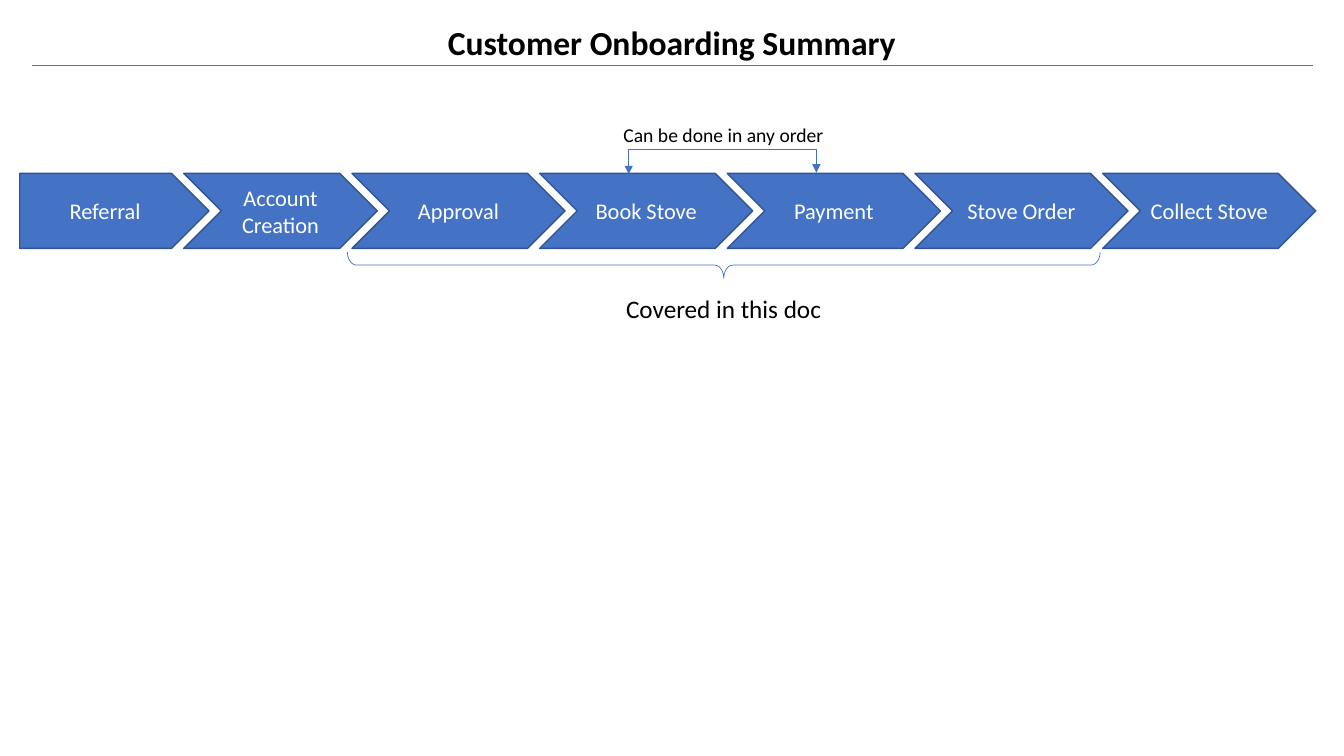
import pptx
import pptx.dml.color
import pptx.enum.dml
import pptx.enum.shapes
import pptx.enum.text
import pptx.oxml.ns
import pptx.util
from lxml import etree

Cm = pptx.util.Cm
Pt = pptx.util.Pt
Preset = pptx.enum.shapes.MSO_SHAPE
Connector = pptx.enum.shapes.MSO_CONNECTOR
qn = pptx.oxml.ns.qn


def rgb(value):
    return pptx.dml.color.RGBColor.from_string(value)


class ProcessSlide:
    """Holds the style and the current slide, and draws its elements."""

    font = "Calibri"
    blue = "4472C4"
    outline = "325491"
    black = "000000"
    white = "FFFFFF"

    def __init__(self, slide):
        self.shapes = slide.shapes

    def set_text(self, frame, text, size, color, bold=False):
        frame.word_wrap = True
        paragraph = frame.paragraphs[0]
        paragraph.text = text
        paragraph.alignment = pptx.enum.text.PP_ALIGN.CENTER
        font = paragraph.font
        font.name, font.size, font.bold = self.font, Pt(size), bold
        font.color.rgb = rgb(color)

    def label(self, left, top, width, height, text, size, bold=False):
        box = self.shapes.add_textbox(Cm(left), Cm(top), Cm(width), Cm(height))
        box.text_frame.auto_size = pptx.enum.text.MSO_AUTO_SIZE.SHAPE_TO_FIT_TEXT
        self.set_text(box.text_frame, text, size, self.black, bold)

    def stroke(self, line, color, width):
        line.color.rgb = rgb(color)
        line.width = Pt(width)

    def step(self, preset, left, top, width, height, text):
        arrow = self.shapes.add_shape(preset, Cm(left), Cm(top), Cm(width), Cm(height))
        arrow.shadow.inherit = False
        arrow.fill.solid()
        arrow.fill.fore_color.rgb = rgb(self.blue)
        self.stroke(arrow.line, self.outline, 1)
        arrow.text_frame.vertical_anchor = pptx.enum.text.MSO_ANCHOR.MIDDLE
        self.set_text(arrow.text_frame, text, 16, self.white)

    def brace_below(self, center_x, center_y, span, depth):
        brace = self.shapes.add_shape(
            Preset.LEFT_BRACE, Cm(center_x - depth / 2), Cm(center_y - span / 2),
            Cm(depth), Cm(span))
        brace.rotation = 270
        brace.adjustments[0] = 0.35
        brace.shadow.inherit = False
        brace.fill.background()
        self.stroke(brace.line, self.blue, 0.5)

    def connector(self, kind, x1, y1, x2, y2):
        link = self.shapes.add_connector(kind, Cm(x1), Cm(y1), Cm(x2), Cm(y2))
        self.stroke(link.line, self.blue, 0.5)
        etree.SubElement(link._element.spPr, qn("a:effectLst"))
        return link

    def bracket_above(self, center_x, center_y, span, rise):
        drop = 0.04
        link = self.connector(
            Connector.ELBOW, center_x + drop / 2, center_y + span / 2,
            center_x - drop / 2, center_y - span / 2)
        properties = link._element.spPr
        properties.find(qn("a:xfrm")).set("rot", str(90 * 60000))
        guides = properties.find(qn("a:prstGeom")).find(qn("a:avLst"))
        bend = round(rise / drop * 100000)
        etree.SubElement(guides, qn("a:gd"), name="adj1", fmla=f"val {bend}")
        outline = properties.find(qn("a:ln"))
        for end in ("a:headEnd", "a:tailEnd"):
            etree.SubElement(outline, qn(end), type="triangle")


def main():
    deck = pptx.Presentation()
    deck.slide_width, deck.slide_height = Cm(33.87), Cm(19.05)
    page = ProcessSlide(deck.slides.add_slide(deck.slide_layouts[6]))

    page.label(7.52, 0.43, 18.82, 1.27, "Customer Onboarding Summary", 24, bold=True)
    page.connector(Connector.STRAIGHT, 0.8, 1.65, 33.08, 1.65)

    steps_top, step_height, overlap = 4.37, 1.89, 0.64
    steps = [("Referral", 4.77), ("Account Creation", 4.88), ("Approval", 5.37),
             ("Book Stove", 5.37), ("Payment", 5.37), ("Stove Order", 5.37),
             ("Collect Stove", 5.37)]
    left = 0.5
    for index, (name, width) in enumerate(steps):
        preset = Preset.CHEVRON if index else Preset.PENTAGON
        page.step(preset, left, steps_top, width, step_height, name)
        left += width - overlap

    page.brace_below(18.24, 6.68, 18.97, 0.66)
    page.label(14.3, 7.26, 7.87, 1.02, "Covered in this doc", 18)
    page.bracket_above(18.21, steps_top, 4.73, 0.62)
    page.label(14.3, 2.97, 7.87, 0.86, "Can be done in any order", 14)

    deck.save("out.pptx")


if __name__ == "__main__":
    main()
